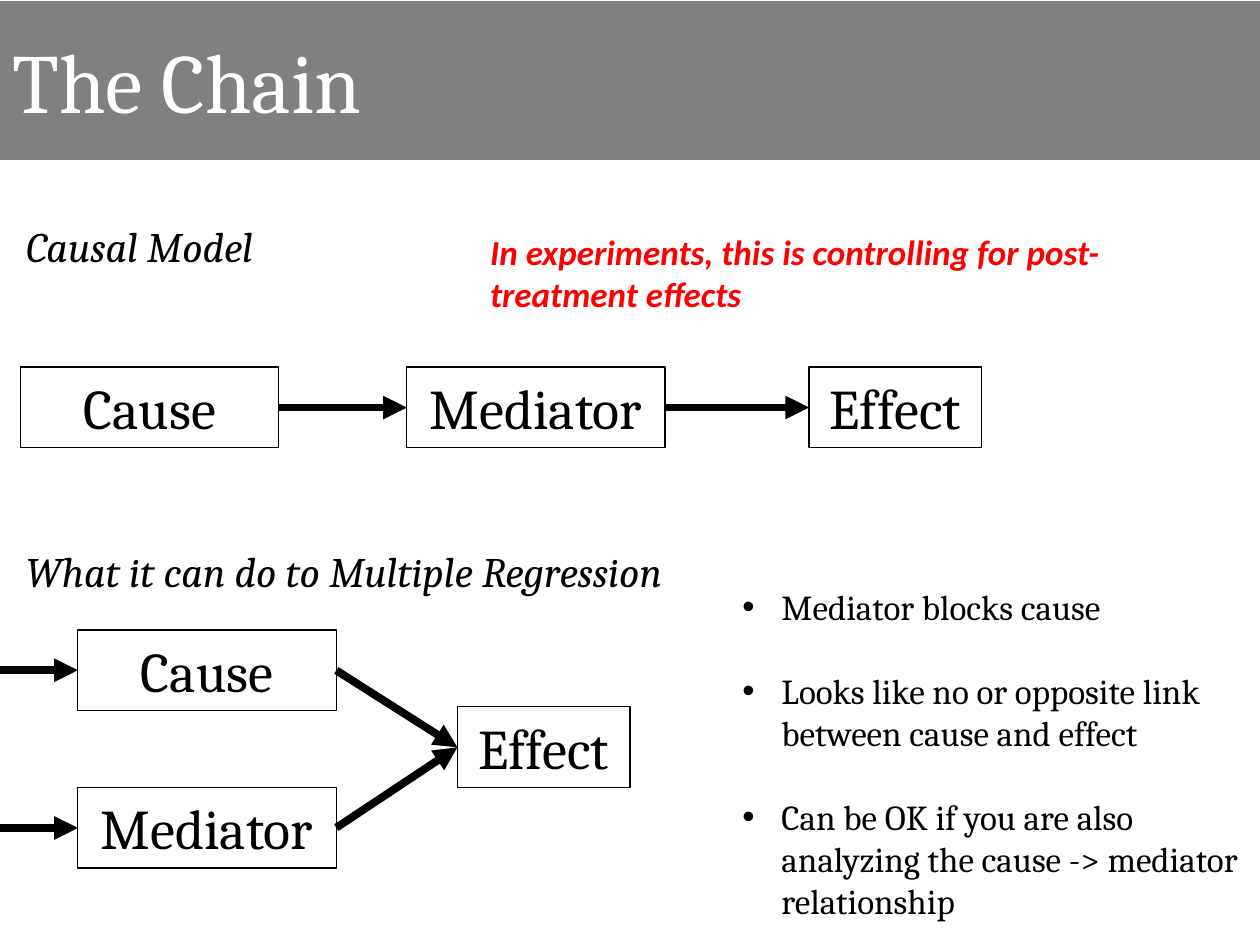
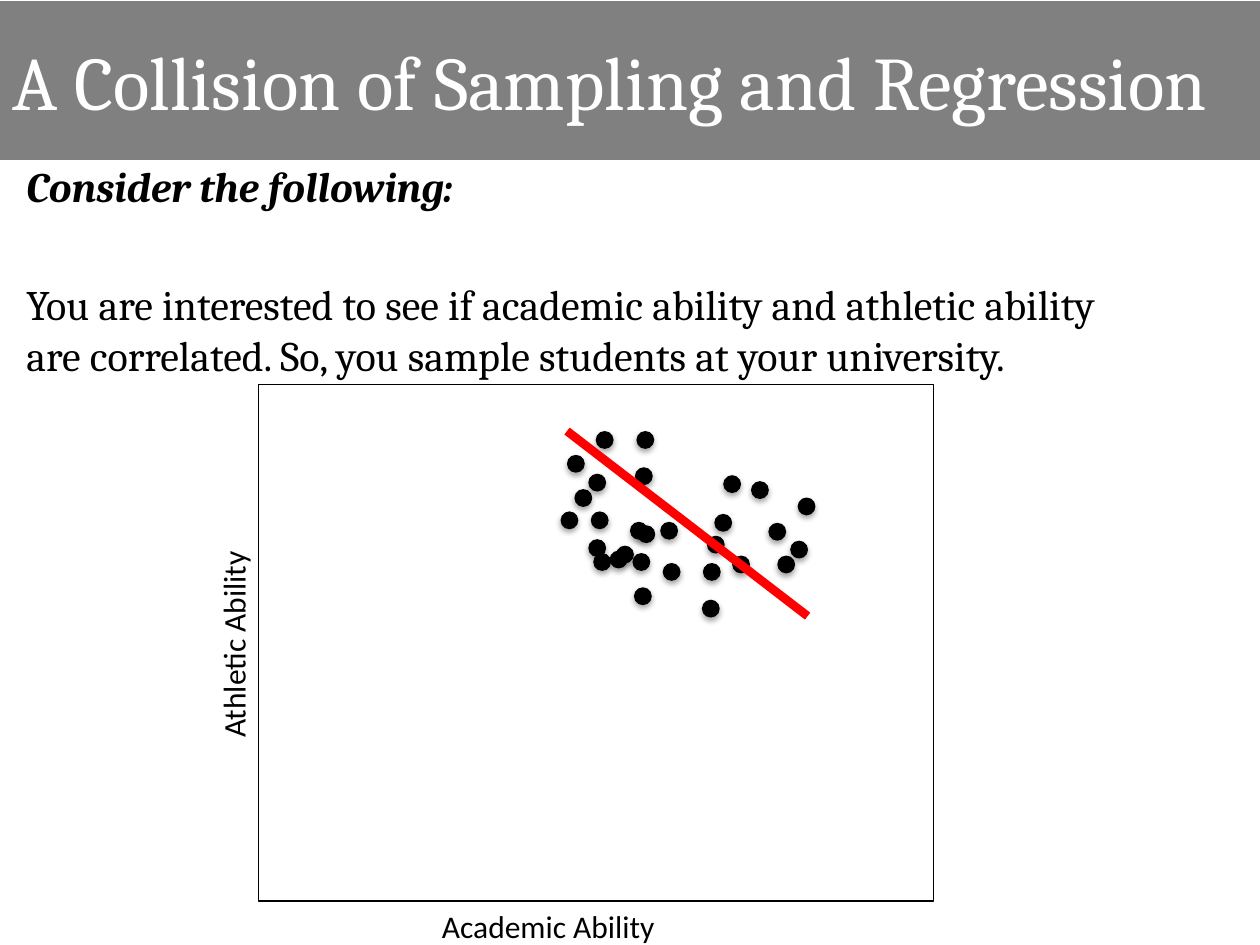
import lxml.etree
import pptx
import pptx.dml.color
import pptx.enum.shapes
import pptx.enum.text
import pptx.oxml.ns
import pptx.util

Cm = pptx.util.Cm
Pt = pptx.util.Pt
qn = pptx.oxml.ns.qn
RGB = pptx.dml.color.RGBColor.from_string
SHAPE = pptx.enum.shapes.MSO_SHAPE
STRAIGHT = pptx.enum.shapes.MSO_CONNECTOR.STRAIGHT
ALIGN = pptx.enum.text.PP_ALIGN
FIT = pptx.enum.text.MSO_AUTO_SIZE

COLORS = {"band": "808080", "title": "FFFFFF", "ink": "000000", "accent": "FF0000"}
BOX = {"name": "Cambria", "size": Pt(32)}
HEADING = {"name": "Cambria", "size": Pt(24), "italic": True}
LIST = {"name": "Cambria", "size": Pt(20)}
NOTE = {"name": "Calibri", "size": Pt(20), "bold": True, "italic": True}
LEAD = {"name": "Cambria", "size": Pt(24), "bold": True, "italic": True}
TEXT = {"name": "Cambria", "size": Pt(24)}
AXIS = {"name": "Calibri", "size": Pt(18)}


def add_text(s, text, at, fmt, color="ink", wrap=False, align=ALIGN.LEFT):
    sp = s.shapes.add_textbox(*map(Cm, at))
    tf = sp.text_frame
    tf.word_wrap = wrap
    tf.auto_size = FIT.SHAPE_TO_FIT_TEXT
    p = tf.paragraphs[0]
    p.alignment = align
    r = p.add_run()
    r.text = text
    for key, value in fmt.items():
        setattr(r.font, key, value)
    r.font.color.rgb = RGB(COLORS[color])
    return sp


def add_line(s, ends, color="ink", width=4.5, arrow=True):
    cxn = s.shapes.add_connector(STRAIGHT, *map(Cm, ends))
    cxn.line.color.rgb = RGB(COLORS[color])
    cxn.line.width = Pt(width)
    if arrow:
        lxml.etree.SubElement(cxn.line._get_or_add_ln(), qn("a:tailEnd"), type="triangle")
    lxml.etree.SubElement(cxn._element.spPr, qn("a:effectLst"))
    return cxn


prs = pptx.Presentation()
prs.slide_width, prs.slide_height = Cm(25.4), Cm(19.05)

pages = [
    ("The Chain", 48, (14.71, 11.68, 10.59, 7.09), 0.79, 24,
     [("Mediator blocks cause", LIST),
      ("Looks like no or opposite link between cause and effect", LIST),
      ("Can be OK if you are also analyzing the cause -> mediator relationship", LIST)]),
    ("A Collision of Sampling and Regression", 43.2, (0.28, 3.1, 22.86, 12.57), 0, 39,
     [("Consider the following:", LEAD),
      ("You are interested to see if academic ability and athletic ability are correlated. "
       "So, you sample students at your university.", TEXT)]),
]
slides = []
for title, title_size, body_at, indent, gap, items in pages:
    s = prs.slides.add_slide(prs.slide_layouts[1])
    slides.append(s)
    head, body = s.placeholders
    for sp, at in ((head, (0, 0.03, 25.4, 3.18)), (body, body_at)):
        sp.left, sp.top, sp.width, sp.height = map(Cm, at)
        sp.text_frame.auto_size = FIT.NONE

    head.fill.solid()
    head.fill.fore_color.rgb = RGB(COLORS["band"])
    head.line.color.rgb = RGB(COLORS["band"])
    head.line.width = Pt(0.75)
    head.text_frame.text = title
    p = head.text_frame.paragraphs[0]
    p.alignment = ALIGN.LEFT
    for key, value in {"name": "Cambria", "size": Pt(title_size)}.items():
        setattr(p.runs[0].font, key, value)
    p.runs[0].font.color.rgb = RGB(COLORS["title"])

    tf = body.text_frame
    for i, (text, fmt) in enumerate(items):
        p = tf.add_paragraph() if i else tf.paragraphs[0]
        pPr = p._p.get_or_add_pPr()
        pPr.set("marL", str(Cm(indent)))
        pPr.set("indent", str(-Cm(indent)))
        if not indent:
            lxml.etree.SubElement(pPr, qn("a:buNone"))
        p.space_before = Pt(gap if i else 0)
        r = p.add_run()
        r.text = text
        for key, value in fmt.items():
            setattr(r.font, key, value)
        r.font.color.rgb = RGB(COLORS["ink"])

chain, collision = slides

add_text(chain, "Causal Model", (0.28, 4.32, 5.77, 1.27), HEADING)
add_text(chain, "What it can do to Multiple Regression", (0.28, 10.87, 14.88, 1.27), HEADING)
add_text(chain, "In experiments, this is controlling for post-treatment effects",
         (9.63, 4.52, 15.67, 1.96), NOTE, "accent", wrap=True)

widths = {"Cause": 5.21, "Mediator": 5.21, "Effect": 3.48}
diagrams = [
    ({"Cause": (0.41, 7.4), "Mediator": (8.2, 7.4), "Effect": (16.31, 7.4)},
     [("Cause", "Mediator"), ("Mediator", "Effect")]),
    ({"Cause": (1.57, 12.7), "Mediator": (1.57, 15.87), "Effect": (9.22, 14.25)},
     [("Cause", "Effect"), ("Mediator", "Effect")]),
]
for places, links in diagrams:
    boxes = {}
    for name, (x, y) in places.items():
        sp = add_text(chain, name, (x, y, widths[name], 1.63), BOX,
                      wrap=name == "Cause", align=ALIGN.CENTER)
        sp.line.color.rgb = RGB(COLORS["ink"])
        sp.line.width = Pt(0.75)
        boxes[name] = sp
    for source, target in links:
        cxn = add_line(chain, (0, 0, 1, 1))
        cxn.begin_connect(boxes[source], 3)
        cxn.end_connect(boxes[target], 1)
for y in (13.51, 16.69):
    add_line(chain, (0, y, 1.57, y))

frame = collision.shapes.add_shape(SHAPE.RECTANGLE, *map(Cm, (5.21, 7.75, 13.61, 10.41)))
frame.shadow.inherit = False
frame.fill.background()
frame.line.color.rgb = RGB(COLORS["ink"])
frame.line.width = Pt(1)
add_text(collision, "Academic Ability", (8.66, 18.16, 4.85, 1.02), AXIS)
add_text(collision, "Athletic Ability", (2.54, 12.45, 4.32, 1.02), AXIS).rotation = 270

students = [
    (13.31, 10.52), (12.78, 11.84), (12.42, 11), (14.17, 11.35), (13.36, 11.35),
    (14.15, 12.09), (12.7, 10.52), (14.25, 10.8), (11.86, 10.87), (14.4, 10.36),
    (14.76, 11.2), (15.49, 10.54), (15.14, 9.7), (16.08, 10.03), (15.93, 10.9),
    (14.58, 9.58), (15.67, 11.2), (11.91, 10.31), (12.75, 11.15), (11.96, 11.15),
    (11.3, 10.31), (12.85, 10.59), (12.29, 11.1), (11.43, 9.17), (12.83, 8.69),
    (12.01, 8.69), (11.86, 9.55), (12.8, 9.42), (11.58, 9.86),
]
for x, y in students:
    dot = collision.shapes.add_shape(SHAPE.OVAL, *map(Cm, (x, y, 0.36, 0.36)))
    dot.fill.solid()
    dot.fill.fore_color.rgb = RGB(COLORS["ink"])
    dot.line.fill.background()
add_line(collision, (11.43, 8.69, 16.28, 12.42), "accent", 5, arrow=False)

prs.save("out.pptx")
